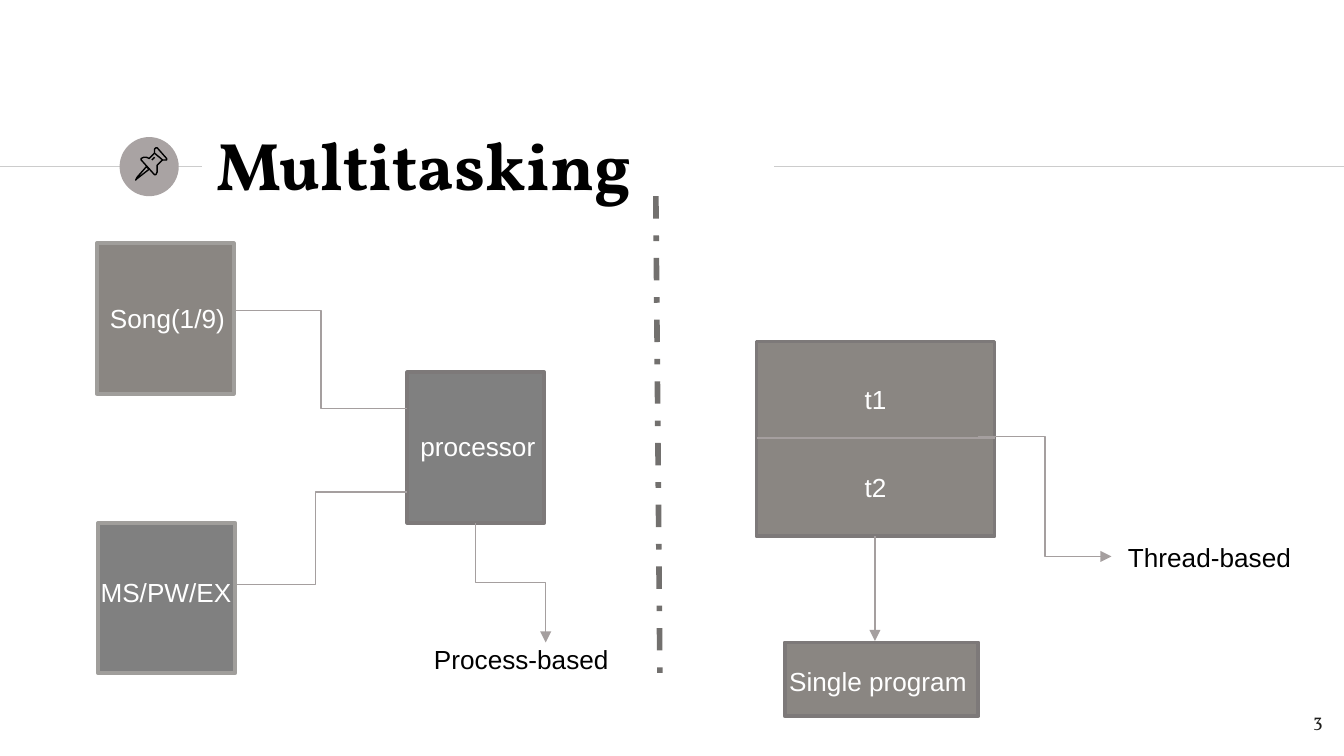
"""Build the multitasking slide: process-based beside thread-based."""
import lxml.etree
import pptx
import pptx.dml.color
import pptx.enum.dml
import pptx.enum.shapes
import pptx.enum.text
import pptx.oxml.ns
import pptx.util

RGBColor = pptx.dml.color.RGBColor
BLACK = RGBColor(0x00, 0x00, 0x00)
WHITE = RGBColor(0xFF, 0xFF, 0xFF)
INK = RGBColor(0x1D, 0x1D, 0x1B)
RULE = RGBColor(0xCC, 0xCC, 0xCC)
BADGE = RGBColor(0xA9, 0xA3, 0xA3)
GRAY = RGBColor(0x80, 0x80, 0x80)
TAUPE = RGBColor(0x8A, 0x86, 0x82)
DARK_EDGE = RGBColor(0x7D, 0x79, 0x79)
LIGHT_EDGE = RGBColor(0xA0, 0x9E, 0x9B)
WIRE = RGBColor(0xA5, 0x9F, 0x9F)
DIVIDER = RGBColor(0x72, 0x70, 0x6E)

COLUMNS = 100
ROWS = 56.25
LEFT = pptx.enum.text.PP_ALIGN.LEFT
CENTER = pptx.enum.text.PP_ALIGN.CENTER
RIGHT = pptx.enum.text.PP_ALIGN.RIGHT
SHAPES = pptx.enum.shapes.MSO_SHAPE
CONNECTORS = pptx.enum.shapes.MSO_CONNECTOR

PIN_OUTLINES = [
    [(109, 124), (102, 132), (101, 134), (102, 133), (111, 126), (109, 124)],
    [(115, 114), (121, 119), (123, 119), (124, 119), (124, 118), (117, 110),
     (116, 110), (115, 111), (115, 114)],
    [(115, 114), (111, 118), (109, 117), (107, 117), (105, 118), (105, 119),
     (115, 130), (116, 130), (117, 128), (117, 126), (117, 123), (121, 119)],
    [(113, 119), (115, 117)],
]


class SlideCanvas:
    """Hold the style and the slide, measured in square grid cells."""

    def __init__(self, presentation):
        """Add a title-only slide and work out the grid cell."""
        self.cell = presentation.slide_width / COLUMNS
        self.slide = presentation.slides.add_slide(presentation.slide_layouts[5])
        self.shapes = self.slide.shapes

    def cells(self, *lengths):
        """Turn grid lengths into slide units."""
        return [pptx.util.Emu(round(length * self.cell)) for length in lengths]

    def set_text(self, frame, text, size, color, font, align, bold=False):
        """Set the text of a frame and format its run."""
        frame.text = text
        frame.word_wrap = True
        paragraph = frame.paragraphs[0]
        paragraph.alignment = align
        style = paragraph.runs[0].font
        style.size = pptx.util.Pt(size)
        style.name = font
        style.bold = bold
        style.color.rgb = color

    def title(self, text, *area):
        """Place and format the title placeholder."""
        heading = self.shapes.title
        heading.left, heading.top, heading.width, heading.height = self.cells(*area)
        frame = heading.text_frame
        self.set_text(frame, text, 36, BLACK, "Vollkorn", LEFT, bold=True)
        frame.auto_size = pptx.enum.text.MSO_AUTO_SIZE.NONE
        frame.vertical_anchor = pptx.enum.text.MSO_ANCHOR.MIDDLE
        frame.margin_top = frame.margin_bottom = self.cells(1)[0]

    def label(self, text, left, top, width, color=WHITE, align=CENTER):
        """Add a one-line diagram label."""
        frame = self.shapes.add_textbox(*self.cells(left, top, width, 3.4)).text_frame
        self.set_text(frame, text, 14, color, "Arial", align)
        frame.auto_size = pptx.enum.text.MSO_AUTO_SIZE.SHAPE_TO_FIT_TEXT

    def page_number(self, text, *area):
        """Add the page number."""
        frame = self.shapes.add_textbox(*self.cells(*area)).text_frame
        self.set_text(frame, text, 10, INK, "Vollkorn", RIGHT)
        frame.margin_top = frame.margin_bottom = self.cells(1)[0]

    def block(self, area, fill, edge=None, kind=SHAPES.RECTANGLE):
        """Add a filled shape with an optional edge."""
        block = self.shapes.add_shape(kind, *self.cells(*area))
        block.shadow.inherit = False
        block.fill.solid()
        block.fill.fore_color.rgb = fill
        if edge is None:
            block.line.fill.background()
        else:
            block.line.color.rgb = edge
            block.line.width = pptx.util.Pt(2)

    def outline(self, points):
        """Draw an unfilled outline through points in tenths of a cell."""
        builder = self.shapes.build_freeform(*points[0], scale=self.cell / 10)
        builder.add_line_segments(points[1:], close=points[0] == points[-1])
        stroke = builder.convert_to_shape()
        stroke.shadow.inherit = False
        stroke.fill.background()
        stroke.line.color.rgb = BLACK
        stroke.line.width = pptx.util.Pt(0.75)

    def wire(self, start, end, color=WIRE, width=0.75, kind=CONNECTORS.STRAIGHT,
             arrow=False, dash=None):
        """Add a connector and return it."""
        wire = self.shapes.add_connector(kind, *self.cells(*start, *end))
        wire.line.color.rgb = color
        wire.line.width = pptx.util.Pt(width)
        if dash is not None:
            wire.line.dash_style = dash
        properties = wire._element.spPr
        qn = pptx.oxml.ns.qn
        if arrow:
            lxml.etree.SubElement(properties.find(qn("a:ln")), qn("a:tailEnd"),
                                  type="triangle")
        lxml.etree.SubElement(properties, qn("a:effectLst"))
        return wire

    def elbow(self, start, end, arrow=False):
        """Add a bent wire that leaves its start sideways."""
        return self.wire(start, end, kind=CONNECTORS.ELBOW, arrow=arrow)

    def drop_elbow(self, start, end):
        """Add a bent arrow that leaves its start downwards."""
        middle_x, middle_y = (start[0] + end[0]) / 2, (start[1] + end[1]) / 2
        half_run, half_drop = (end[0] - start[0]) / 2, (end[1] - start[1]) / 2
        wire = self.elbow((middle_x + half_drop, middle_y - half_run),
                          (middle_x - half_drop, middle_y + half_run), arrow=True)
        wire._element.spPr.find(pptx.oxml.ns.qn("a:xfrm")).set("rot", "16200000")


def main():
    """Compose the slide and save it."""
    presentation = pptx.Presentation()
    presentation.slide_width = pptx.util.Inches(10)
    presentation.slide_height = round(presentation.slide_width * ROWS / COLUMNS)
    canvas = SlideCanvas(presentation)

    canvas.wire((0, 12.4), (15, 12.4), RULE)
    canvas.block((8.9, 10.2, 4.4, 4.4), BADGE, kind=SHAPES.OVAL)
    canvas.wire((57.6, 12.4), (COLUMNS, 12.4), RULE)
    canvas.title("Multitasking", 15.1, 9.8, 42.4, 4.8)
    for points in PIN_OUTLINES:
        canvas.outline(points)
    canvas.page_number("3", 93.4, 51.9, 6, 4.3)

    canvas.block((30.3, 27.7, 10.2, 11.2), GRAY, DARK_EDGE)
    canvas.elbow((30.3, 30.4), (17.5, 23.1))
    canvas.elbow((30.3, 36.6), (16.7, 43.5))
    canvas.block((7.3, 38.9, 10.2, 11.2), GRAY, LIGHT_EDGE)
    canvas.block((7.2, 18.1, 10.2, 11.2), TAUPE, LIGHT_EDGE)
    canvas.label("Song(1/9)", 7.2, 22, 12.3, align=LEFT)
    canvas.label("MS/PW/EX", 6.5, 42.4, 12.3, align=LEFT)
    canvas.label("processor", 30.3, 31.5, 13.3, align=LEFT)
    canvas.drop_elbow((35.4, 38.9), (40.6, 47.8))
    canvas.label("Process-based", 27.3, 47.4, 23, BLACK)

    canvas.block((56.3, 25.4, 17.7, 14.5), TAUPE, DARK_EDGE)
    canvas.wire((56.3, 32.6), (74, 32.6))
    for thread, top in (("t1", 28), ("t2", 34.6)):
        canvas.label(thread, 59, top, 12.3)
    canvas.wire((65.1, 39.9), (65.1, 47.7), arrow=True)
    canvas.block((58.4, 47.8, 14.4, 5.5), TAUPE, DARK_EDGE)
    canvas.elbow((72.8, 32.5), (82.7, 41.4), arrow=True)
    canvas.label("Single program ", 55.4, 49, 20.4)
    canvas.label("Thread-based", 78.5, 39.8, 23, BLACK)

    canvas.wire((48.8, 14.6), (49.1, 50.1), DIVIDER, 3,
                dash=pptx.enum.dml.MSO_LINE.DASH_DOT)
    presentation.save("out.pptx")


if __name__ == "__main__":
    main()
